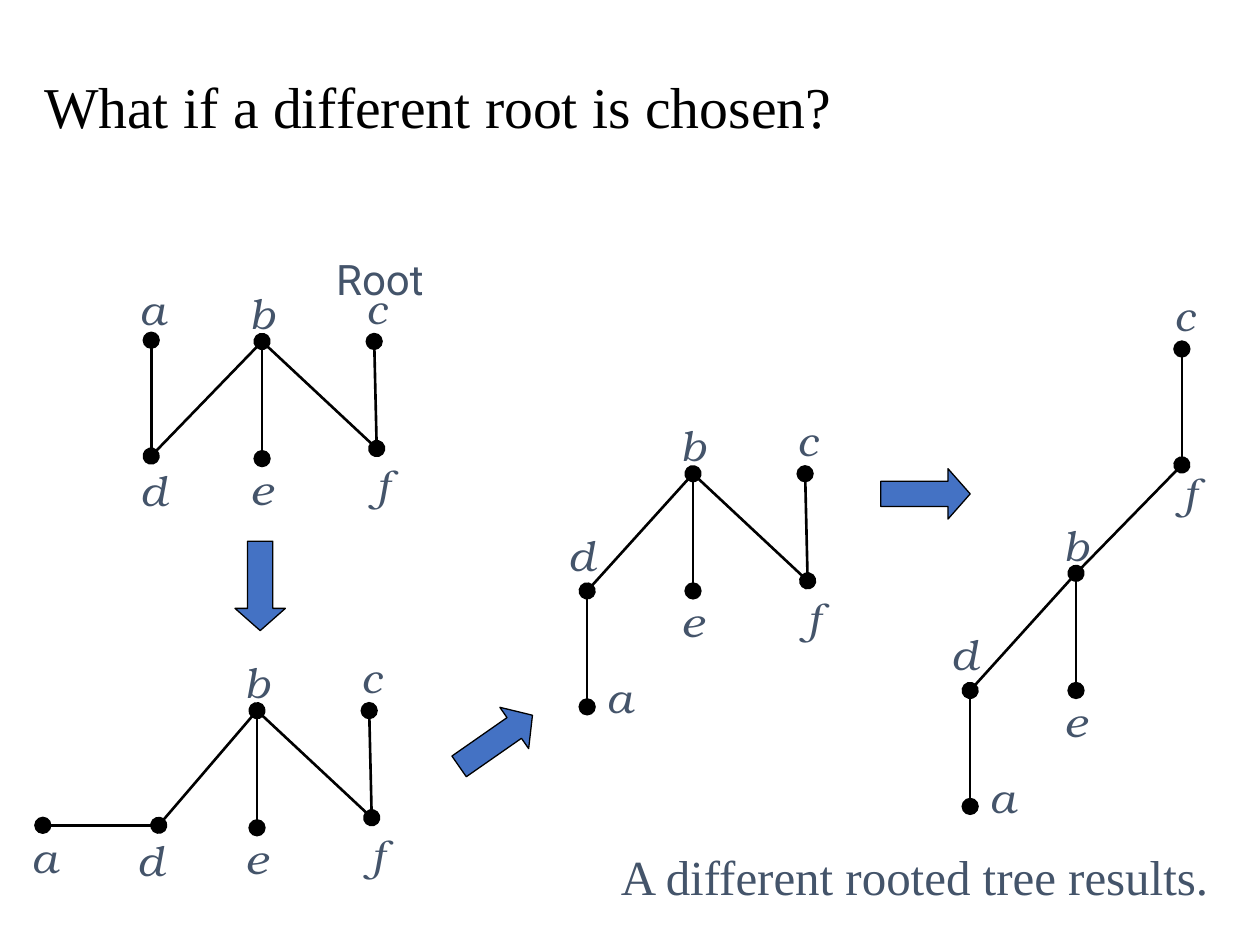
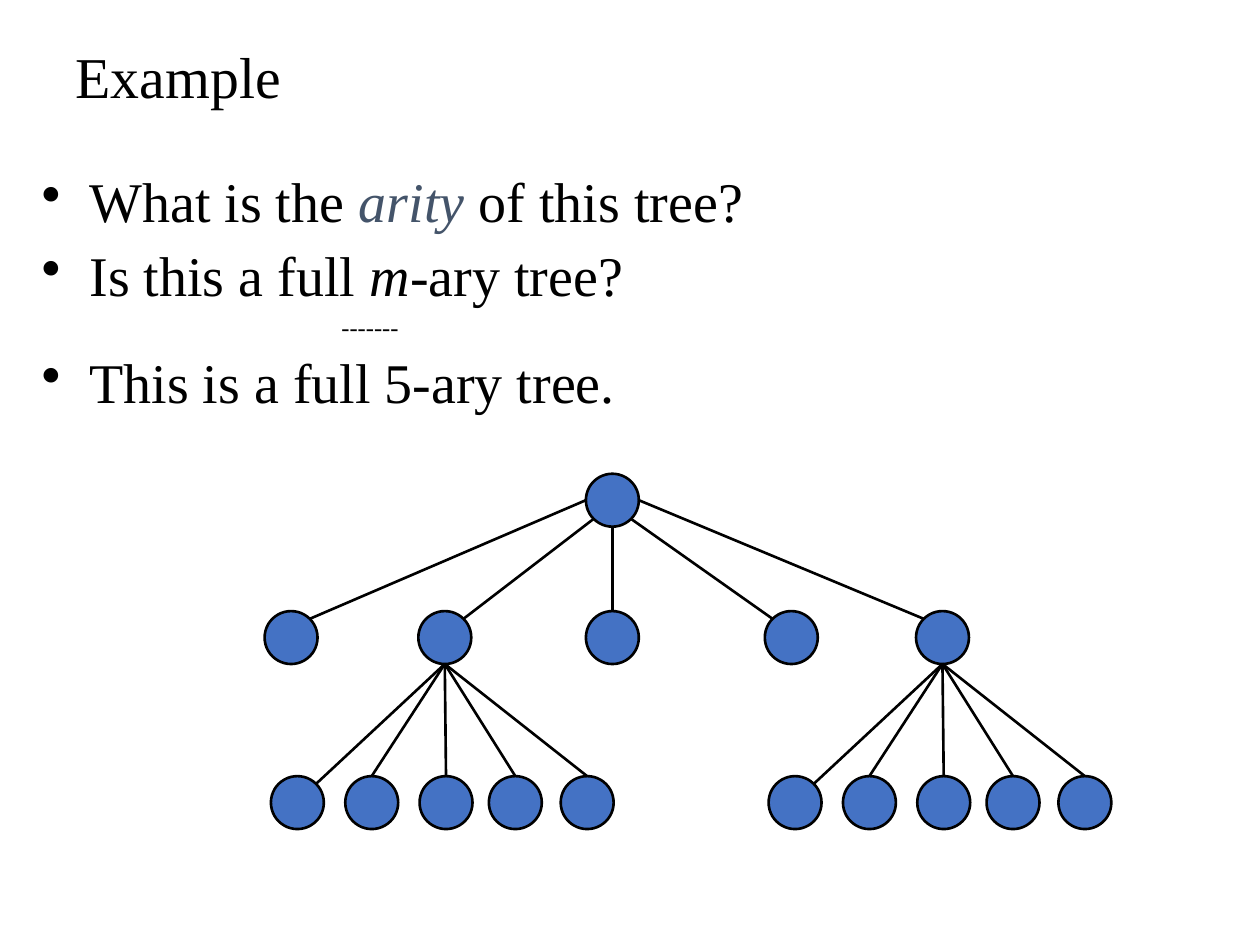
import math

import pptx
import pptx.dml.color
import pptx.enum.shapes
import pptx.enum.text
import pptx.oxml
import pptx.oxml.ns
import pptx.util

Inches = pptx.util.Inches
Pt = pptx.util.Pt
ANCHOR = pptx.enum.text.MSO_ANCHOR
ALIGN = pptx.enum.text.PP_ALIGN
SHAPE = pptx.enum.shapes.MSO_SHAPE

COLORS = {"ink": "000000", "slate": "44546A", "blue": "4472C4"}
SERIF, SANS, LABEL = "Times New Roman", "Roboto", "TeX Gyre Bonum"

INSET = {"margin_left": Inches(0.1), "margin_right": Inches(0.1),
         "margin_top": Inches(0.05), "margin_bottom": Inches(0.05)}
NO_INSET = dict.fromkeys(INSET, 0)

VERTICES = {"a": (-0.84, 1.85), "b": (0, 0), "c": (0.89, 0),
            "d": (-0.84, 0.93), "e": (0, 0.93), "f": (0.91, 0.85)}
LABEL_SHIFTS = {"a": (0.26, -0.08), "b": (0, -0.23), "c": (0.02, -0.27),
                "d": (-0.04, -0.29), "e": (0, 0.24), "f": (0.05, 0.29)}
EDGES = ("bd", "da", "be", "bf", "fc")

CIRCLE = 0.42
CHILD_XS = (-2.55, -1.33, 0, 1.42, 2.62)
CHILD_DROP = 1.09
LEAF_XS = (-1.17, -0.58, 0.01, 0.56, 1.13)
LEAF_DROP = 1.31


def rgb(name):
    return pptx.dml.color.RGBColor.from_string(COLORS[name])


def apply(target, formats):
    for attribute, value in formats.items():
        setattr(target, attribute, value)


def add_drawingml(parent, tag, **attributes):
    child = pptx.oxml.parse_xml(f"<a:{tag} {pptx.oxml.ns.nsdecls('a')}/>")
    for attribute, value in attributes.items():
        child.set(attribute, value)
    parent.append(child)
    return child


def write_run(paragraph, text, size, font=SERIF, color="ink", italic=False):
    run = paragraph.add_run()
    run.text = text
    apply(run.font, {"size": Pt(size), "name": font, "italic": italic})
    run.font.color.rgb = rgb(color)


def add_text(slide, box, text, size, frame=INSET, align=ALIGN.LEFT, **style):
    textbox = slide.shapes.add_textbox(*map(Inches, box))
    apply(textbox.text_frame, {"word_wrap": True, **frame})
    paragraph = textbox.text_frame.paragraphs[0]
    paragraph.alignment = align
    write_run(paragraph, text, size, **style)


def add_slide(deck, title, box, anchor):
    slide = deck.slides.add_slide(deck.slide_layouts[5])
    heading = slide.shapes.title
    apply(heading, dict(zip(("left", "top", "width", "height"), map(Inches, box))))
    apply(heading.text_frame, {
        **INSET, "vertical_anchor": anchor, "word_wrap": True,
        "auto_size": pptx.enum.text.MSO_AUTO_SIZE.NONE})
    paragraph = heading.text_frame.paragraphs[0]
    apply(paragraph, {"alignment": ALIGN.LEFT, "line_spacing": 0.9})
    write_run(paragraph, title, 33)
    return slide


def add_blue_shape(slide, kind, box, line_width):
    shape = slide.shapes.add_shape(kind, *map(Inches, box))
    shape.shadow.inherit = False
    shape.fill.solid()
    shape.fill.fore_color.rgb = rgb("blue")
    shape.line.color.rgb = rgb("ink")
    shape.line.width = Pt(line_width)
    return shape


def add_edge(slide, start, end, dots=()):
    edge = slide.shapes.add_connector(
        pptx.enum.shapes.MSO_CONNECTOR.STRAIGHT, *map(Inches, (*start, *end)))
    edge.line.color.rgb = rgb("ink")
    edge.line.width = Pt(1.5)
    for tag in dots:
        add_drawingml(edge.line._get_or_add_ln(), tag, type="oval", w="lg", len="lg")
    add_drawingml(edge._element.spPr, "effectLst")


def shift(point, offset):
    return point[0] + offset[0], point[1] + offset[1]


def draw_labelled_tree(slide, origin, moved_vertices, moved_labels):
    vertices = {name: shift(origin, offset)
                for name, offset in {**VERTICES, **moved_vertices}.items()}
    dotted = set()
    for edge in EDGES:
        dots = [tag for tag, name in zip(("headEnd", "tailEnd"), edge)
                if name not in dotted]
        dotted.update(edge)
        add_edge(slide, vertices[edge[0]], vertices[edge[1]], dots)
    for name, offset in {**LABEL_SHIFTS, **moved_labels}.items():
        x, y = shift(vertices[name], offset)
        add_text(slide, (x - 0.14, y - 0.2, 0.28, 0.4), name, 24,
                 {**NO_INSET, "vertical_anchor": ANCHOR.MIDDLE}, ALIGN.CENTER,
                 font=LABEL, color="slate", italic=True)


def draw_step_arrow(slide, left, top, rotation):
    arrow = add_blue_shape(slide, SHAPE.RIGHT_ARROW, (left, top, 0.71, 0.4), 0.75)
    arrow.adjustments[1] = 0.44
    arrow.rotation = rotation


def build_root_change(deck):
    slide = add_slide(deck, "What if a different root is chosen?",
                      (0.25, 0.17, 9.58, 1), ANCHOR.BOTTOM)
    add_text(slide, (4.83, 6.67, 4.97, 0.57), "A different rooted tree results.",
             28, color="slate")
    for step in ((1.71, 4.45, 90), (3.58, 5.68, 325.1), (6.99, 3.72, 0)):
        draw_step_arrow(slide, *step)
    add_text(slide, (2.57, 1.96, 0.93, 0.5), "Root", 24,
             {**INSET, "word_wrap": False}, font=SANS, color="slate")
    trees = (
        ((2.08, 2.71), {"a": (-0.88, -0.01), "d": (-0.88, 0.91)},
         {"a": (0.01, -0.25), "d": (0.02, 0.27)}),
        ((2.04, 5.64), {"a": (-1.7, 0.91), "d": (-0.78, 0.91)},
         {"a": (0.01, 0.25), "d": (-0.06, 0.27)}),
        ((5.5, 3.76), {}, {}),
        ((8.54, 4.55), {"c": (0.84, -1.78), "f": (0.84, -0.86)},
         {"f": (0.06, 0.22)}),
    )
    for tree in trees:
        draw_labelled_tree(slide, *tree)


def on_circle(center, degrees):
    angle = math.radians(degrees)
    return shift(center, (CIRCLE / 2 * math.cos(angle), CIRCLE / 2 * math.sin(angle)))


def draw_circle(slide, center):
    left, top = shift(center, (-CIRCLE / 2, -CIRCLE / 2))
    add_blue_shape(slide, SHAPE.OVAL, (left, top, CIRCLE, CIRCLE), 1.5)


def draw_branches(slide, parent, xs, drop, start_angles, end_angles):
    children = [shift(parent, (x, drop)) for x in xs]
    for child, start, end in zip(children, start_angles, end_angles):
        draw_circle(slide, child)
        add_edge(slide, on_circle(parent, start), on_circle(child, end))
    return children


def draw_full_tree(slide, root):
    draw_circle(slide, root)
    children = draw_branches(slide, root, CHILD_XS, CHILD_DROP,
                             (180, 135, 90, 45, 0), (-45, -45, -90, -135, -135))
    for parent in (children[1], children[4]):
        draw_branches(slide, parent, LEAF_XS, LEAF_DROP,
                      (90,) * 5, (-45, -90, -90, -90, -90))


def write_questions(slide, box):
    questions = (
        (32, 0, (("What is the ", {}), ("arity", {"color": "slate", "italic": True}),
                 (" of this tree?", {}))),
        (32, 8, (("Is this a full ", {}), ("m", {"italic": True}),
                 ("-ary tree?", {}))),
        (14, 3.5, (("-------", {}),)),
        (32, 8, (("This is a full 5-ary tree.", {}),)),
    )
    frame = slide.shapes.add_textbox(*map(Inches, box)).text_frame
    apply(frame, {**INSET, "margin_left": 0, "margin_right": 0, "word_wrap": True})
    for index, (size, space, runs) in enumerate(questions):
        paragraph = frame.add_paragraph() if index else frame.paragraphs[0]
        properties = paragraph._p.get_or_add_pPr()
        if size == 32:
            properties.set("marL", str(Inches(0.38)))
            properties.set("indent", str(Inches(-0.38)))
            bullet_color = add_drawingml(properties, "buClr")
            add_drawingml(bullet_color, "srgbClr", val=COLORS["ink"])
            add_drawingml(properties, "buChar", char="•")
        else:
            properties.set("marL", str(Inches(2.38)))
        apply(paragraph, {"line_spacing": 0.9, "space_before": Pt(space)})
        for text, style in runs:
            write_run(paragraph, text, size, **style)


def build_example(deck):
    slide = add_slide(deck, "Example", (0.5, 0.17, 9, 0.92), ANCHOR.MIDDLE)
    draw_full_tree(slide, (4.86, 3.97))
    write_questions(slide, (0.33, 1.33, 9.25, 2.33))


def main():
    deck = pptx.Presentation()
    apply(deck, {"slide_width": Inches(10), "slide_height": Inches(7.5)})
    build_root_change(deck)
    build_example(deck)
    deck.save("out.pptx")


if __name__ == "__main__":
    main()
